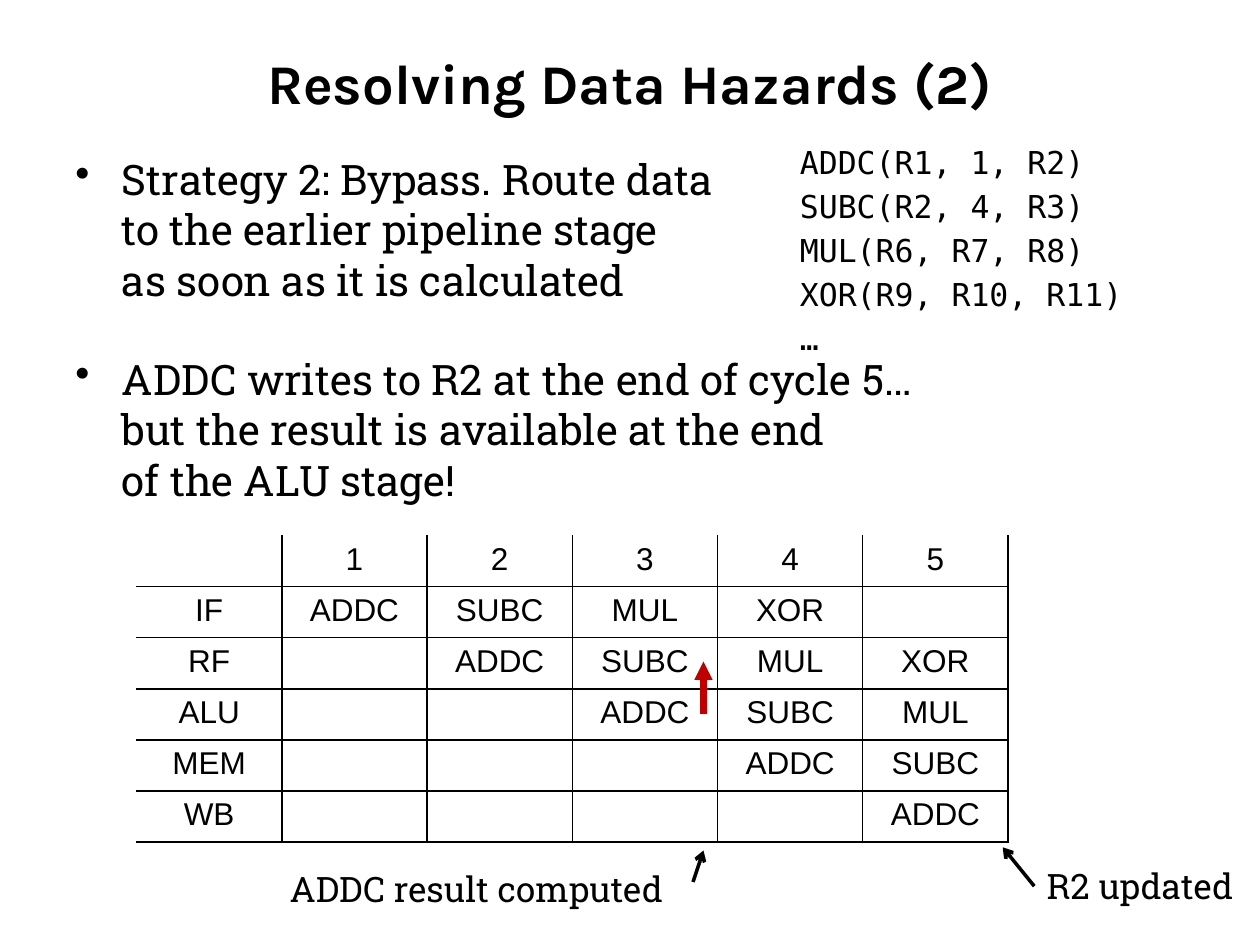
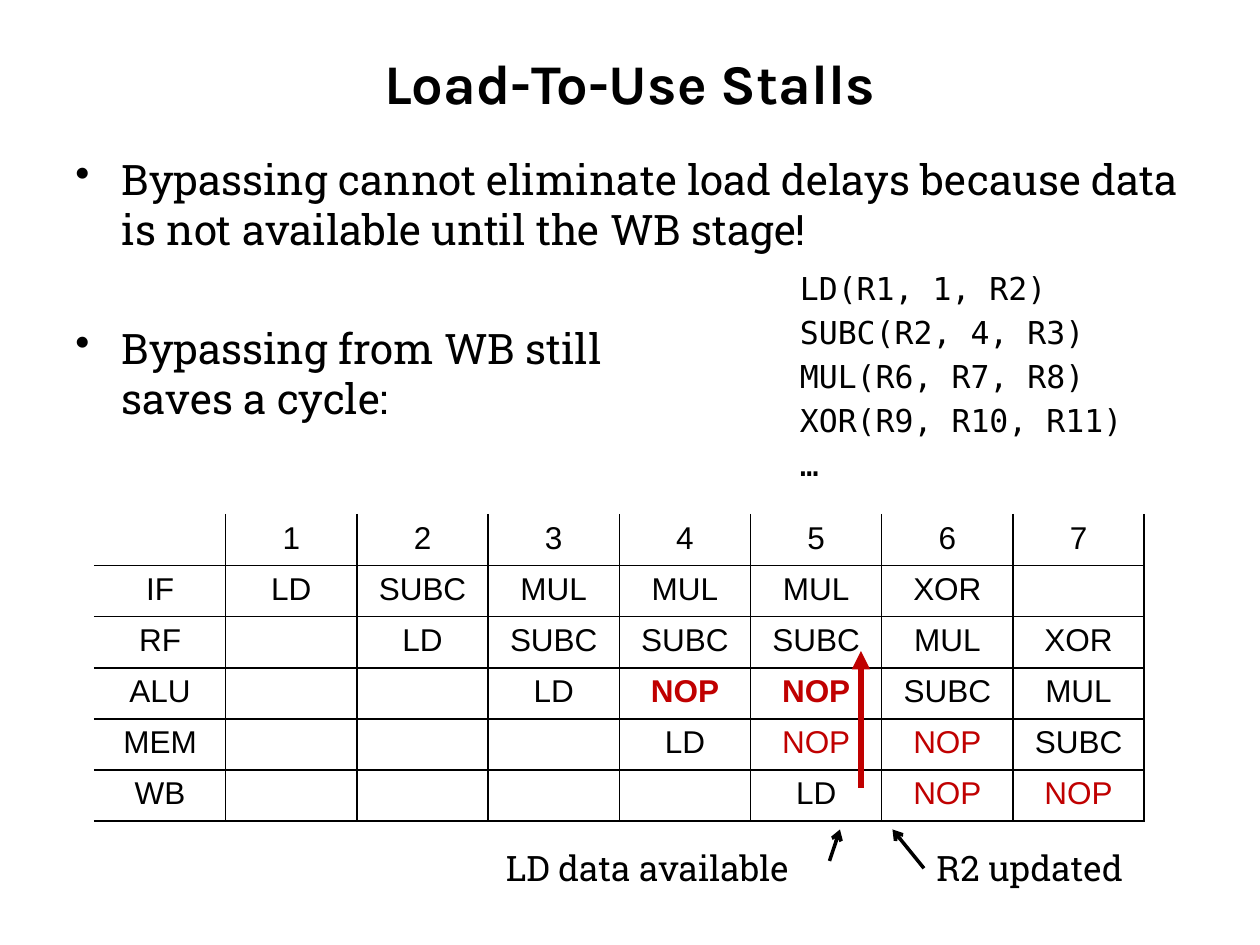
from lxml.etree import SubElement
from pptx import Presentation
from pptx.dml.color import RGBColor
from pptx.enum.shapes import MSO_CONNECTOR as Link
from pptx.enum.text import MSO_ANCHOR as Anchor, PP_ALIGN as Align
from pptx.oxml.ns import qn
from pptx.util import Inches, Pt

WIDTH, HEIGHT = Inches(10), Inches(7.5)
COLS, ROWS = 120, 90
BLACK, RED = "000000", "C00000"
HEAD, BODY, CODE, CELL = "Karla", "Roboto Slab", "DejaVu Sans Mono", "Arial"
STAGES = ["IF", "RF", "ALU", "MEM", "WB"]
TAIL = ["MUL(R6, R7, R8)", "XOR(R9, R10, R11)", "…"]


def col(n):
    return round(WIDTH * n / COLS)


def row(n):
    return round(HEIGHT * n / ROWS)


def area(x, y, w, h):
    return col(x), row(y), col(w), row(h)


def rgb(code):
    return RGBColor.from_string(code)


def style(para, face, size, color=BLACK, bold=False):
    font = para.font
    font.name, font.size, font.bold = face, Pt(size), bold
    font.color.rgb = rgb(color)


def add_title(slide, text):
    title = slide.shapes.title
    title.left, title.top, title.width, title.height = area(6, 3.6, 108, 8.4)
    frame = title.text_frame
    frame.text = text
    frame.vertical_anchor = Anchor.MIDDLE
    para = frame.paragraphs[0]
    para.alignment = Align.CENTER
    style(para, HEAD, 32, bold=True)


def add_lines(slide, box, lines, face, size, wrap=True):
    """Write one paragraph per line and return the paragraphs."""
    frame = slide.shapes.add_textbox(*area(*box)).text_frame
    frame.word_wrap = wrap
    for i, line in enumerate(lines):
        para = frame.paragraphs[0] if i == 0 else frame.add_paragraph()
        para.text = line
        style(para, face, size)
    return frame.paragraphs


def add_bullets(slide, points, gap):
    paras = add_lines(slide, (6, 14, 108, 39), points, BODY, 24)
    for i, para in enumerate(paras):
        para.space_before = Pt(gap if i else 4.8)
        props = para._p.get_or_add_pPr()
        props.set("marL", str(Inches(0.37)))
        props.set("indent", str(-Inches(0.37)))
        mark = props.makeelement(qn("a:buChar"), {"char": "•"})
        props.find(qn("a:defRPr")).addprevious(mark)


def add_code(slide, top, lines):
    for para in add_lines(slide, (75, top, 36, 24), lines + TAIL, CODE, 18):
        para.space_before = Pt(3.6)


def add_label(slide, x, y, w, text):
    add_lines(slide, (x, y, w, 5.25), [text], BODY, 20, wrap=False)


def add_arrow(slide, start, end, color=BLACK, width=2, head="arrow"):
    (x1, y1), (x2, y2) = start, end
    arrow = slide.shapes.add_connector(
        Link.STRAIGHT, col(x1), row(y1), col(x2), row(y2))
    arrow.line.color.rgb = rgb(color)
    arrow.line.width = Pt(width)
    SubElement(arrow.line._get_or_add_ln(), qn("a:tailEnd"), type=head)
    SubElement(arrow._element.spPr, qn("a:effectLst"))


def add_bypass(slide, x, low, high):
    add_arrow(slide, (x, low), (x, high), RED, 3.5, "triangle")


def rule_cell(cell, sides):
    props = cell._tc.get_or_add_tcPr()
    for side in sides:
        line = SubElement(props, qn(f"a:ln{side}"), w=str(Pt(1)))
        fill = SubElement(line, qn("a:solidFill"))
        SubElement(fill, qn("a:srgbClr"), val=BLACK)
    cell.fill.background()


def add_pipeline(slide, x, y, w, flow):
    """Draw stages against cycles; flow has a line per stage, '-' is idle."""
    body = [line.split() for line in flow]
    count = len(body[0])
    grid = [["-"] + [str(n + 1) for n in range(count)]]
    grid += [[stage] + line for stage, line in zip(STAGES, body)]
    table = slide.shapes.add_table(
        len(grid), count + 1, *area(x, y, w, 29.2)).table
    table.first_row = table.horz_banding = False
    for r, line in enumerate(grid):
        for c, text in enumerate(line):
            cell = table.cell(r, c)
            sides = [("L", c > 0), ("R", True), ("T", r > 0), ("B", True)]
            rule_cell(cell, [side for side, on in sides if on])
            para = cell.text_frame.paragraphs[0]
            para.text = "" if text == "-" else text
            para.alignment = Align.CENTER
            stall = text == "NOP"
            style(para, CELL, 18, RED if stall else BLACK,
                  stall and line[0] == "ALU")


def add_slide(deck, title):
    slide = deck.slides.add_slide(deck.slide_layouts[5])
    add_title(slide, title)
    return slide


def add_hazards(deck):
    slide = add_slide(deck, "Resolving Data Hazards (2)")
    add_bullets(slide, [
        "Strategy 2: Bypass. Route data\v"
        "to the earlier pipeline stage\vas soon as it is calculated",
        "ADDC writes to R2 at the end of cycle 5…\v"
        "but the result is available at the end\vof the ALU stage!"], 28)
    add_code(slide, 13, ["ADDC(R1, 1, R2)", "SUBC(R2, 4, R3)"])
    add_pipeline(slide, 13, 51, 83, [
        "ADDC SUBC MUL XOR -",
        "- ADDC SUBC MUL XOR",
        "- - ADDC SUBC MUL",
        "- - - ADDC SUBC",
        "- - - - ADDC"])
    add_bypass(slide, 67, 68, 63)
    add_label(slide, 98.5, 81.7, 21.5, "R2 updated")
    add_arrow(slide, (98.5, 84.4), (95.5, 80.7))
    add_label(slide, 26.4, 82, 40.6, "ADDC result computed")
    add_arrow(slide, (66, 84), (67, 81))


def add_stalls(deck):
    slide = add_slide(deck, "Load-To-Use Stalls")
    add_bullets(slide, [
        "Bypassing cannot eliminate load delays because data "
        "is not available until the WB stage!",
        "Bypassing from WB still\vsaves a cycle:"], 39)
    add_code(slide, 25, ["LD(R1, 1, R2)", "SUBC(R2, 4, R3)"])
    add_pipeline(slide, 9, 49, 100, [
        "LD SUBC MUL MUL MUL XOR -",
        "- LD SUBC SUBC SUBC MUL XOR",
        "- - LD NOP NOP SUBC MUL",
        "- - - LD NOP NOP SUBC",
        "- - - - LD NOP NOP"])
    add_bypass(slide, 82, 75, 62)
    add_label(slide, 88, 80, 21.5, "R2 updated")
    add_arrow(slide, (88, 82.7), (85, 79))
    add_label(slide, 47, 80, 31, "LD data available")
    add_arrow(slide, (79, 82), (80, 79))


def main():
    deck = Presentation()
    deck.slide_width, deck.slide_height = WIDTH, HEIGHT
    add_hazards(deck)
    add_stalls(deck)
    deck.save("out.pptx")


if __name__ == "__main__":
    main()
